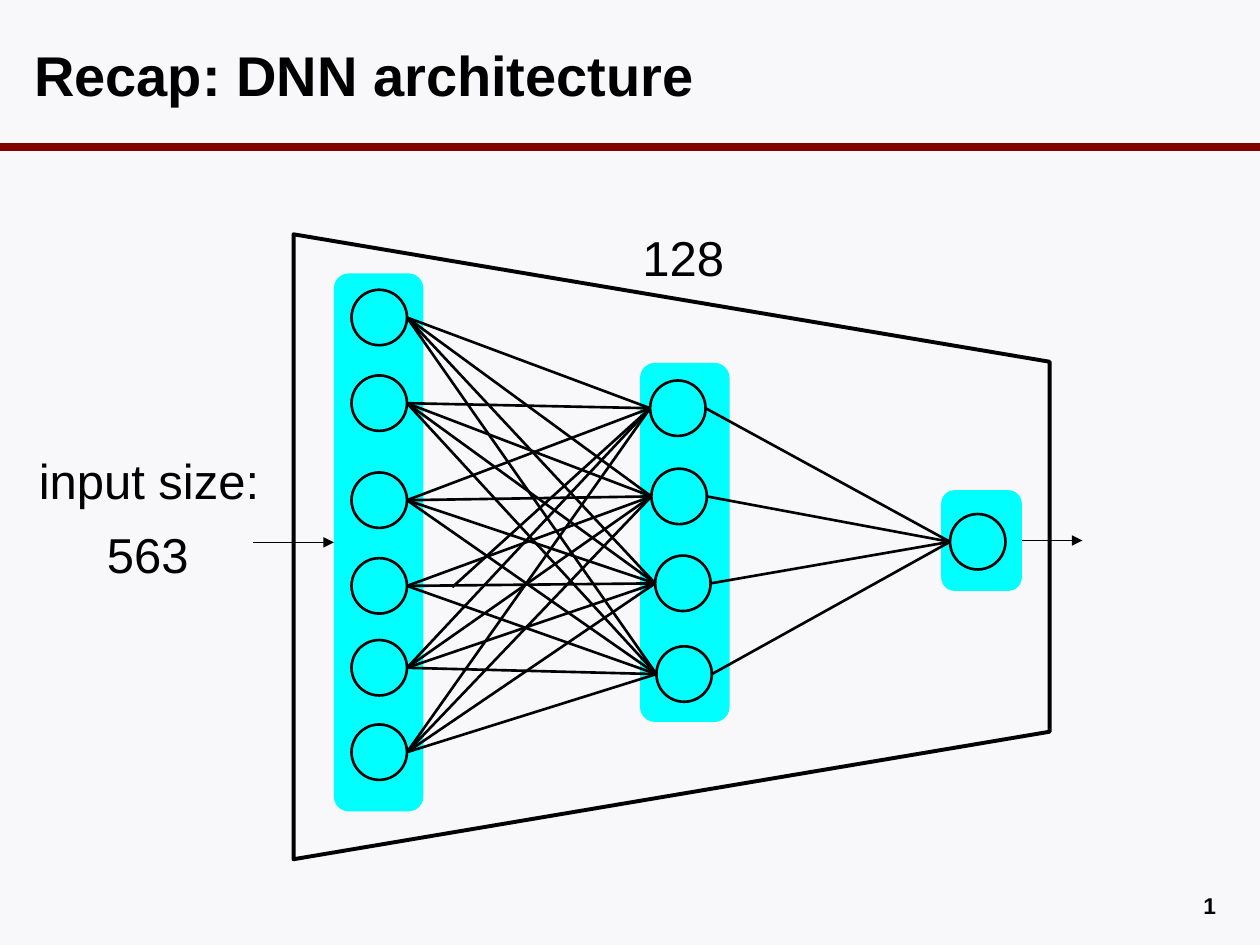
import itertools

import pptx
import pptx.dml.color
import pptx.enum.dml
import pptx.enum.shapes
import pptx.enum.text
import pptx.oxml
import pptx.oxml.ns
import pptx.util

RGBColor = pptx.dml.color.RGBColor
SHAPE = pptx.enum.shapes.MSO_SHAPE
ALIGN = pptx.enum.text.PP_ALIGN
ANCHOR = pptx.enum.text.MSO_ANCHOR
FIT = pptx.enum.text.MSO_AUTO_SIZE

BLACK = RGBColor(0x00, 0x00, 0x00)
MAROON = RGBColor(0x80, 0x00, 0x00)
CYAN = RGBColor(0x00, 0xFF, 0xFF)
PAPER = RGBColor(0xF8, 0xF8, 0xFA)

FONT = "Arial"
COLUMNS, ROWS = 100, 75
CELL = pptx.util.Inches(10) // COLUMNS
NODE_SIZE = 4.4
INPUT_NODES = [(27.9, row) for row in (23, 29.8, 37.5, 44.3, 50.8, 57.5)]
HIDDEN_NODES = [(51.6, 30.2), (51.7, 37.2), (52, 44.1), (52.1, 51.3)]
OUTPUT_NODE = (75.4, 40.8)
SHORT_EDGE = (3, 0)
SHORT_EDGE_START = (35.9, 46.6)


def cells(*counts):
    return [round(count * CELL) for count in counts]


def write(frame, text, size=28, bold=False, align=ALIGN.LEFT, anchor=ANCHOR.TOP,
          wrap=False, fit=FIT.SHAPE_TO_FIT_TEXT):
    frame.word_wrap = wrap
    frame.auto_size = fit
    frame.vertical_anchor = anchor
    paragraph = frame.paragraphs[0]
    paragraph.alignment = align
    run = paragraph.add_run()
    run.text = text
    run.font.name = FONT
    run.font.size = pptx.util.Pt(size)
    run.font.bold = bold
    run.font.color.rgb = BLACK
    return run


def add_title(slide, text):
    title = slide.shapes.title
    title.left, title.top, title.width, title.height = cells(1.7, 1.7, 95.6, 8.3)
    write(title.text_frame, text, size=32, bold=True, anchor=ANCHOR.MIDDLE,
          wrap=True, fit=FIT.NONE)


def add_label(slide, text, box, **style):
    label = slide.shapes.add_textbox(*cells(*box))
    return write(label.text_frame, text, **style)


def add_page_number(slide, text):
    run = add_label(slide, text, (74.2, 70.3, 23.3, 2.7), size=13, bold=True,
                    align=ALIGN.RIGHT, wrap=True, fit=FIT.NONE)
    element = run._r
    field = pptx.oxml.parse_xml(
        f'<a:fld {pptx.oxml.ns.nsdecls("a")} type="slidenum" '
        'id="{B6F15528-21DE-4FAA-801E-634DDDAF4B2B}"/>')
    element.addprevious(field)
    for part in list(element):
        field.append(part)
    element.getparent().remove(element)


def add_figure(slide, kind, box, fill=None, line_width=None):
    figure = slide.shapes.add_shape(kind, *cells(*box))
    figure.shadow.inherit = False
    if fill is None:
        figure.fill.background()
    else:
        figure.fill.solid()
        figure.fill.fore_color.rgb = fill
    if line_width is None:
        figure.line.fill.background()
    else:
        figure.line.color.rgb = BLACK
        figure.line.width = pptx.util.Pt(line_width)
    return figure


def add_panel(slide, box):
    return add_figure(slide, SHAPE.ROUNDED_RECTANGLE, box, fill=CYAN)


def add_node(slide, corner):
    return add_figure(slide, SHAPE.OVAL, (*corner, NODE_SIZE, NODE_SIZE), line_width=1.5)


def add_line(slide, start, end, width=1.5, color=BLACK, arrow=False):
    line = slide.shapes.add_connector(
        pptx.enum.shapes.MSO_CONNECTOR.STRAIGHT, *start, *end)
    line.line.color.rgb = color
    line.line.width = pptx.util.Pt(width)
    if arrow:
        line.line._get_or_add_ln().append(pptx.oxml.parse_xml(
            f'<a:tailEnd {pptx.oxml.ns.nsdecls("a")} type="triangle"/>'))
    line._element.spPr.append(pptx.oxml.parse_xml(
        f'<a:effectLst {pptx.oxml.ns.nsdecls("a")}/>'))
    return line


def left_side(figure):
    return figure.left, figure.top + figure.height // 2


def right_side(figure):
    return figure.left + figure.width, figure.top + figure.height // 2


def add_network(slide):
    input_panel = add_panel(slide, (26.5, 21.7, 7.1, 42.7))
    add_panel(slide, (50.8, 28.8, 7.1, 28.5))
    output_panel = add_panel(slide, (74.7, 38.9, 6.4, 8))
    outline = add_figure(slide, SHAPE.TRAPEZOID, (28.5, 13.4, 49.6, 60), line_width=2.25)
    outline.rotation = 90
    outline.adjustments[0] = 0.204

    inputs = [add_node(slide, corner) for corner in INPUT_NODES]
    hidden = [add_node(slide, corner) for corner in HIDDEN_NODES]
    output = add_node(slide, OUTPUT_NODE)

    for (i, source), (j, target) in itertools.product(enumerate(inputs), enumerate(hidden)):
        start = cells(*SHORT_EDGE_START) if (i, j) == SHORT_EDGE else right_side(source)
        add_line(slide, start, left_side(target))
    for source in hidden:
        add_line(slide, right_side(source), left_side(output))

    entry_x, entry_y = left_side(input_panel)
    entry = add_line(slide, (entry_x - cells(6.4)[0], entry_y), (entry_x, entry_y),
                     width=0.75, arrow=True)
    entry.end_connect(input_panel, 1)
    exit_x, exit_y = right_side(output_panel)
    leaving = add_line(slide, (exit_x, exit_y), (exit_x + cells(4.8)[0], exit_y),
                       width=0.75, arrow=True)
    leaving.begin_connect(output_panel, 3)


def main():
    deck = pptx.Presentation()
    deck.slide_width, deck.slide_height = cells(COLUMNS, ROWS)
    slide = deck.slides.add_slide(deck.slide_layouts[5])
    slide.background.fill.solid()
    slide.background.fill.fore_color.rgb = PAPER

    add_line(slide, cells(0, 11.7), cells(COLUMNS, 11.7), width=4.5, color=MAROON)
    add_title(slide, "Recap: DNN architecture")
    add_page_number(slide, "2")
    add_network(slide)
    add_label(slide, "input size:", (2.1, 35.3, 20.3, 5.7))
    add_label(slide, "563", (7.5, 41.1, 8.7, 5.7))
    add_label(slide, "128", (50, 17.6, 8.7, 5.7))
    deck.save("out.pptx")


if __name__ == "__main__":
    main()
